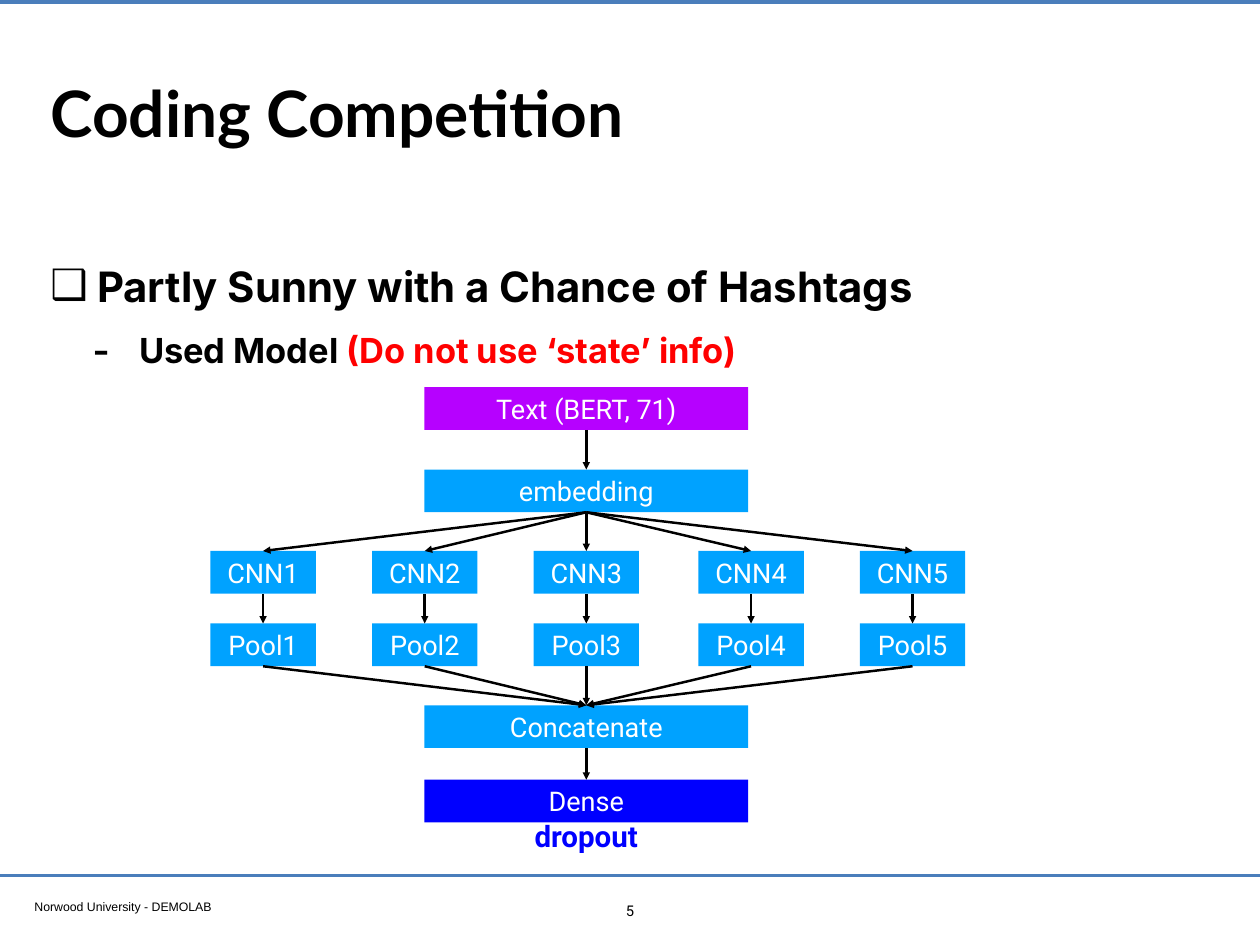
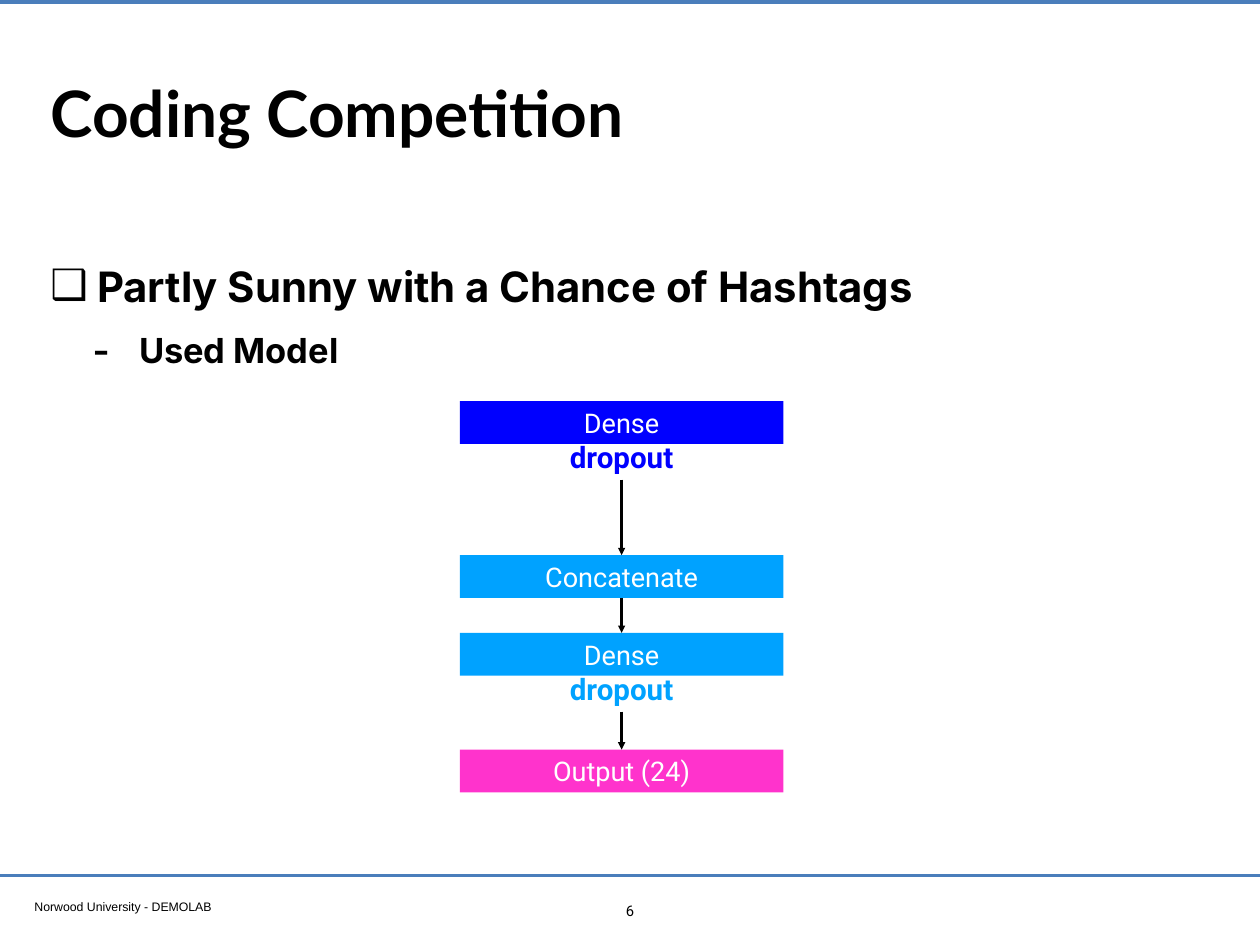
from lxml.etree import SubElement
from pptx import Presentation
from pptx.dml.color import RGBColor
from pptx.enum.shapes import MSO_CONNECTOR as Connector, MSO_SHAPE as Preset
from pptx.enum.text import MSO_ANCHOR as Anchor, MSO_AUTO_SIZE as AutoSize, PP_ALIGN as Align
from pptx.oxml.ns import qn
from pptx.util import Pt

BLACK, WHITE, RED, RULE = "000000", "FFFFFF", "FF0000", "4A7EBB"
PURPLE, SKY, BLUE, PINK = "B601FF", "00A2FF", "0000FF", "FF33CC"
LAYER_HEIGHT = 34.75
WIDE, NARROW = 263, 85.7
BRANCH_CENTERS = (213.8, 345.2, 476.5, 610.4, 741.6)


def rgb(color):
    """Turn a hex string into a colour."""
    return RGBColor.from_string(color)


def place(shape, left, top, width, height):
    """Set the position and size of a shape in points."""
    shape.left, shape.top = Pt(left), Pt(top)
    shape.width, shape.height = Pt(width), Pt(height)


def set_frame(frame, anchor, wrap=True):
    """Apply the shared margins and anchor to a text frame."""
    frame.margin_left = frame.margin_right = Pt(4)
    frame.margin_top = frame.margin_bottom = Pt(4)
    frame.auto_size = AutoSize.NONE
    frame.word_wrap = wrap
    frame.vertical_anchor = anchor


def add_run(paragraph, text, font, size, color=BLACK, bold=False):
    """Append one formatted run."""
    run = paragraph.add_run()
    run.text = text
    run.font.name, run.font.size, run.font.bold = font, Pt(size), bold
    run.font.color.rgb = rgb(color)


def add_label(slide, box, text, font, size, color=BLACK, bold=False,
              align=Align.CENTER, anchor=Anchor.TOP, wrap=True):
    """Add a text box with a single run."""
    label = slide.shapes.add_textbox(*map(Pt, box))
    set_frame(label.text_frame, anchor, wrap)
    paragraph = label.text_frame.paragraphs[0]
    paragraph.alignment = align
    add_run(paragraph, text, font, size, color, bold)
    return label


def add_layer(slide, text, center, top, width=WIDE, color=SKY):
    """Add one network layer centred on an axis."""
    layer = slide.shapes.add_shape(
        Preset.RECTANGLE, Pt(center - width / 2), Pt(top), Pt(width), Pt(LAYER_HEIGHT))
    layer.shadow.inherit = False
    layer.fill.solid()
    layer.fill.fore_color.rgb = rgb(color)
    layer.line.fill.background()
    set_frame(layer.text_frame, Anchor.MIDDLE)
    paragraph = layer.text_frame.paragraphs[0]
    paragraph.alignment = Align.CENTER
    add_run(paragraph, text, "Roboto", 22, WHITE)
    return layer


def add_dropout(slide, center, layer_top, color):
    """Add the dropout note under a layer."""
    return add_label(slide, (center - 51, layer_top + 26.5, 102, 37.4), "dropout",
                     "Roboto", 24, color, bold=True, anchor=Anchor.MIDDLE, wrap=False)


def add_line(slide, start, end, color, width):
    """Add a straight line without shadow."""
    line = slide.shapes.add_connector(Connector.STRAIGHT, *map(Pt, start + end))
    line.line.color.rgb = rgb(color)
    line.line.width = Pt(width)
    SubElement(line.element.spPr, qn("a:effectLst"))
    return line


def add_arrow(slide, source, target):
    """Join the bottom of one shape to the top of another."""
    arrow = add_line(slide, (0, 0), (0, 0), BLACK, 2)
    arrow.begin_connect(source, 2)
    arrow.end_connect(target, 0)
    SubElement(arrow.element.spPr.find(qn("a:ln")), qn("a:tailEnd"), type="triangle")


def format_item(paragraph, bullet, left, hanging, bullet_percent=100):
    """Set the spacing, indent and bullet of a list item."""
    paragraph.line_spacing = 1.2
    paragraph.space_before = Pt(8)
    properties = paragraph._p.get_or_add_pPr()
    properties.set("marL", str(Pt(left)))
    properties.set("indent", str(-Pt(hanging)))
    SubElement(properties, qn("a:buSzPct"), val=str(bullet_percent * 1000))
    SubElement(properties, qn("a:buChar"), char=bullet)


def add_content_slide(deck, layout, number, remark=""):
    """Add a slide with the shared title, list and page number."""
    slide = deck.slides.add_slide(layout)
    title, body = slide.placeholders
    set_frame(title.text_frame, Anchor.MIDDLE)
    heading = title.text_frame.paragraphs[0]
    heading.alignment = Align.LEFT
    add_run(heading, "Coding Competition", "Lato", 52, bold=True)

    set_frame(body.text_frame, Anchor.TOP)
    topic = body.text_frame.paragraphs[0]
    format_item(topic, "❑", 38, 38)
    add_run(topic, "Partly Sunny with a Chance of Hashtags", "Inter", 34, bold=True)
    model = body.text_frame.add_paragraph()
    model.level = 1
    format_item(model, "-", 72, 37.5, 145)
    add_run(model, "Used Model " if remark else "Used Model", "Inter", 28, bold=True)
    if remark:
        add_run(model, remark, "Inter", 28, RED, bold=True)

    add_label(slide, (498, 728.6, 28, 22), str(number), "Roboto", 12)
    return slide


def add_text_branch(slide):
    """Draw the convolutional branch that reads the text."""
    axis = BRANCH_CENTERS[2]
    text = add_layer(slide, "Text (BERT, 71)", axis, 314.7, color=PURPLE)
    embedding = add_layer(slide, "embedding", axis, 381.6)
    concatenate = add_layer(slide, "Concatenate", axis, 573.2)
    dense = add_layer(slide, "Dense", axis, 633.7, color=BLUE)
    add_dropout(slide, axis, 633.7, BLUE)
    add_arrow(slide, text, embedding)
    for index, center in enumerate(BRANCH_CENTERS, 1):
        cnn = add_layer(slide, f"CNN{index}", center, 447.8, NARROW)
        pool = add_layer(slide, f"Pool{index}", center, 506.7, NARROW)
        add_arrow(slide, embedding, cnn)
        add_arrow(slide, cnn, pool)
        add_arrow(slide, pool, concatenate)
    add_arrow(slide, concatenate, dense)


def add_output_stage(slide):
    """Draw the dense layers that lead to the output."""
    axis = 505.2
    add_layer(slide, "Dense", axis, 326, color=BLUE)
    text_dropout = add_dropout(slide, axis, 326, BLUE)
    concatenate = add_layer(slide, "Concatenate", axis, 451.2)
    dense = add_layer(slide, "Dense", axis, 514.4)
    dense_dropout = add_dropout(slide, axis, 514.4, SKY)
    output = add_layer(slide, "Output (24)", axis, 609.2, color=PINK)
    add_arrow(slide, text_dropout, concatenate)
    add_arrow(slide, concatenate, dense)
    add_arrow(slide, dense_dropout, output)


def add_shared_frame(layout, slide):
    """Build the rules and footer, then hand them to the layout."""
    shared = (
        add_line(slide, (0, 1.5), (1024, 1.5), RULE, 3.2),
        add_line(slide, (0, 711.5), (1024, 711.5), RULE, 2),
        add_label(slide, (24, 726.5, 393, 19), "Norwood University - DEMOLAB",
                  "Arial", 10, align=Align.LEFT),
    )
    for part in shared:
        layout.shapes.element.append(part.element)


def main():
    """Build and save the presentation."""
    deck = Presentation()
    deck.slide_width, deck.slide_height = Pt(1024), Pt(768)
    layout = deck.slide_layouts[1]
    place(layout.placeholders[0], 37, 20, 951, 142)
    place(layout.placeholders[1], 37, 199.5, 932, 132.5)

    branch_slide = add_content_slide(deck, layout, 5, "(Do not use ‘state’ info)")
    add_text_branch(branch_slide)
    add_output_stage(add_content_slide(deck, layout, 6))
    add_shared_frame(layout, branch_slide)
    deck.save("out.pptx")


main()
